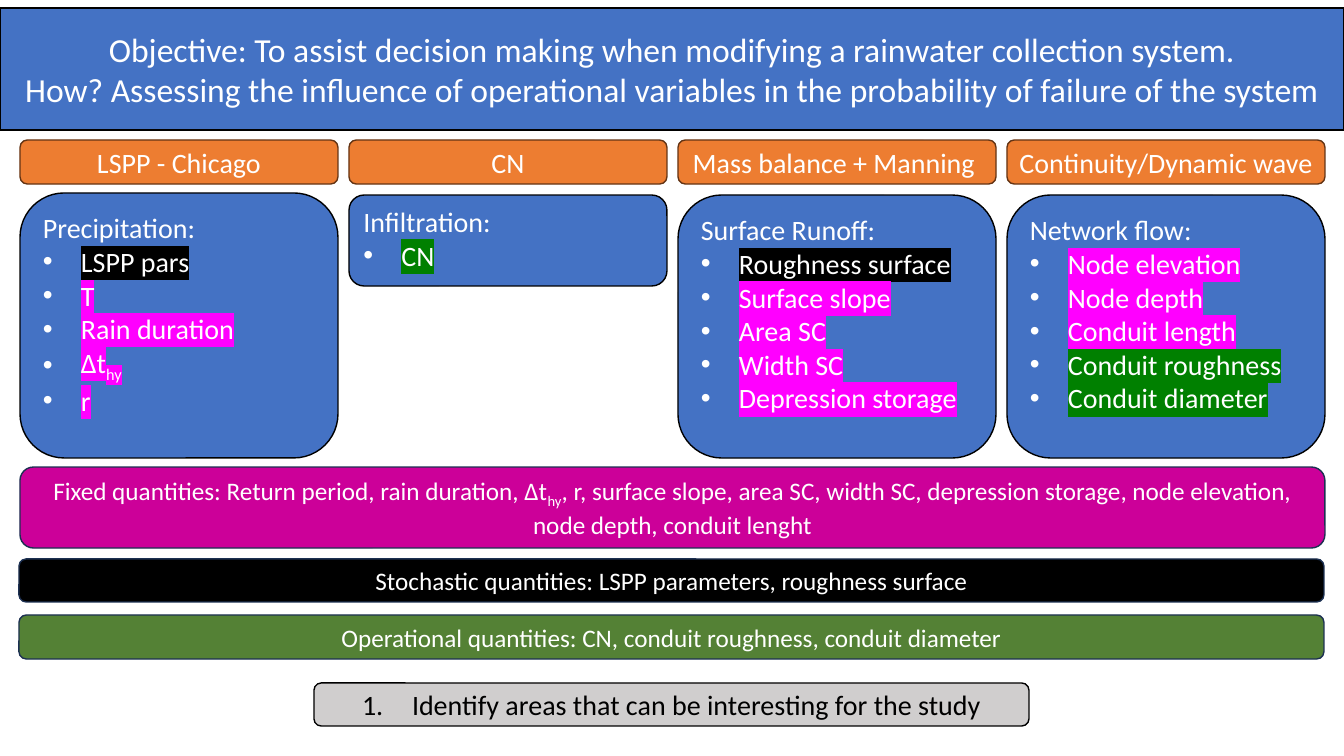
"""Build a slide on the variables that drive a rainwater system."""
import pptx
import pptx.dml.color
import pptx.enum.shapes
import pptx.enum.text
import pptx.oxml
import pptx.oxml.ns
import pptx.util
from lxml import etree

PX = 914400 / 100.8
NS = "http://schemas.openxmlformats.org/drawingml/2006/main"
INK = {
    "blue": "4472C4", "orange": "ED7D31", "rust": "643414", "navy": "1C3052",
    "black": "000000", "white": "FFFFFF", "plum": "CC0099", "leaf": "548135",
    "gray": "D0CECE", "pink": "FF00FF", "green": "008000",
}
LEFT, STEP, WIDE, FULL = 20, 329, 318, 1305
ALIGN = pptx.enum.text.PP_ALIGN
ANCHOR = pptx.enum.text.MSO_ANCHOR

TITLE = [
    "Objective: To assist decision making when modifying a rainwater collection system.",
    "How? Assessing the influence of operational variables in the probability"
    " of failure of the system",
]
CARDS = [
    ("LSPP - Chicago", 193, 265, "Precipitation:",
     [("LSPP pars", "black"), ("T", "pink"), ("Rain duration", "pink"),
      ("Δt_hy_", "pink"), ("r", "pink")]),
    ("CN", 195, 91, "Infiltration:", [("CN", "green")]),
    ("Mass balance + Manning ", 195, 263, "Surface Runoff:",
     [("Roughness surface", "black"), ("Surface slope", "pink"),
      ("Area SC", "pink"), ("Width SC", "pink"), ("Depression storage", "pink")]),
    ("Continuity/Dynamic wave", 195, 263, "Network flow:",
     [("Node elevation", "pink"), ("Node depth", "pink"), ("Conduit length", "pink"),
      ("Conduit roughness", "green"), ("Conduit diameter", "green")]),
]
BANDS = [
    (20, 467, 81, "plum",
     "Fixed quantities: Return period, rain duration, Δt_hy_, r, surface slope, area SC,"
     " width SC, depression storage, node elevation, node depth, conduit lenght"),
    (19, 559, 43, "black", "Stochastic quantities: LSPP parameters, roughness surface"),
    (19, 615, 44, "leaf", "Operational quantities: CN, conduit roughness, conduit diameter"),
]


def px(num):
    """Turn pixels into EMU."""
    return pptx.util.Emu(round(num * PX))


def tint(name):
    """Give the named colour."""
    return pptx.dml.color.RGBColor.from_string(INK[name])


def apply(item, form):
    """Set each attribute in the dict on the item."""
    for key, val in form.items():
        setattr(item, key, val)


def paint(shape, fill, line):
    """Fill and outline a shape."""
    shape.fill.solid()
    shape.fill.fore_color.rgb = tint(fill)
    shape.line.color.rgb = tint(line)
    shape.line.width = pptx.util.Pt(1)


def box(slide, spot, fill, line="black"):
    """Add a rounded box."""
    kind = pptx.enum.shapes.MSO_SHAPE.ROUNDED_RECTANGLE
    shape = slide.shapes.add_shape(kind, *map(px, spot))
    shape.shadow.inherit = False
    paint(shape, fill, line)
    return shape


def mark(para, tag, gap, **attrs):
    """Give a paragraph a hanging bullet or number."""
    props = para._p.get_or_add_pPr()
    props.set("marL", str(px(gap)))
    props.set("indent", str(-px(gap)))
    face = etree.SubElement(props, f"{{{NS}}}buFont")
    face.set("typeface", "Arial" if tag == "buChar" else "+mj-lt")
    sign = etree.SubElement(props, f"{{{NS}}}{tag}")
    apply_xml(sign, attrs)


def apply_xml(node, attrs):
    """Set each XML attribute in the dict on the node."""
    for key, val in attrs.items():
        node.set(key, val)


def write(para, text, size, ink="white", glow=None):
    """Add runs to a paragraph, with text between underscores lowered."""
    for pos, part in enumerate(text.split("_")):
        if not part:
            continue
        run = para.add_run()
        run.text = part
        apply(run.font, {"size": pptx.util.Pt(size), "name": "Calibri"})
        run.font.color.rgb = tint(ink)
        props = run._r.get_or_add_rPr()
        if pos % 2:
            props.set("baseline", "-25000")
        if glow:
            light = etree.Element(f"{{{NS}}}highlight")
            etree.SubElement(light, f"{{{NS}}}srgbClr").set("val", INK[glow])
            props.find(f"{{{NS}}}solidFill").addnext(light)


def frame(shape, anchor=ANCHOR.MIDDLE):
    """Set up a shape's text frame and return it."""
    text = shape.text_frame
    apply(text, {
        "word_wrap": True, "vertical_anchor": anchor,
        "auto_size": pptx.enum.text.MSO_AUTO_SIZE.NONE,
        "margin_left": px(10), "margin_right": px(10),
        "margin_top": px(5), "margin_bottom": px(5),
    })
    return text


def label(shape, text, size, ink="white"):
    """Write one centred line in a shape and return its paragraph."""
    para = frame(shape).paragraphs[0]
    para.alignment = ALIGN.CENTER
    write(para, text, size, ink)
    return para


def head(slide):
    """Shape and fill the title."""
    title = slide.shapes.title
    apply(title, dict(zip(("left", "top", "width", "height"), map(px, (0, 8, 1344, 122)))))
    geom = etree.SubElement(title._element.spPr, f"{{{NS}}}prstGeom", prst="roundRect")
    etree.SubElement(geom, f"{{{NS}}}avLst")
    paint(title, "blue", "black")
    text = frame(title)
    label(title, TITLE[0], 24)
    para = text.add_paragraph()
    para.alignment = ALIGN.CENTER
    write(para, TITLE[1], 24)


def card(slide, col, name, top, tall, lead, items):
    """Add a column's model name and its list of variables."""
    left = LEFT + col * STEP
    label(box(slide, (left, 140, WIDE, 44), "orange", "rust"), name, 20)
    text = frame(box(slide, (left, top, WIDE, tall), "blue"), ANCHOR.TOP)
    para = text.paragraphs[0]
    para.alignment = ALIGN.LEFT
    write(para, lead, 20)
    for item, glow in items:
        para = text.add_paragraph()
        para.alignment = ALIGN.LEFT
        mark(para, "buChar", 38, char="•")
        write(para, item, 20, glow=glow)


def main():
    """Build and save the slide."""
    deck = pptx.Presentation()
    apply(deck, {"slide_width": px(1344), "slide_height": px(756)})
    slide = deck.slides.add_slide(deck.slide_layouts[5])
    head(slide)
    for col, data in enumerate(CARDS):
        card(slide, col, *data)
    for left, top, tall, fill, text in BANDS:
        label(box(slide, (left, top, FULL, tall), fill, "navy"), text, 18)
    step = box(slide, (314, 683, 715, 43), "gray")
    para = label(step, "Identify areas that can be interesting for the study", 20, "black")
    mark(para, "buAutoNum", 50, type="arabicPeriod")
    deck.save("out.pptx")


if __name__ == "__main__":
    main()
